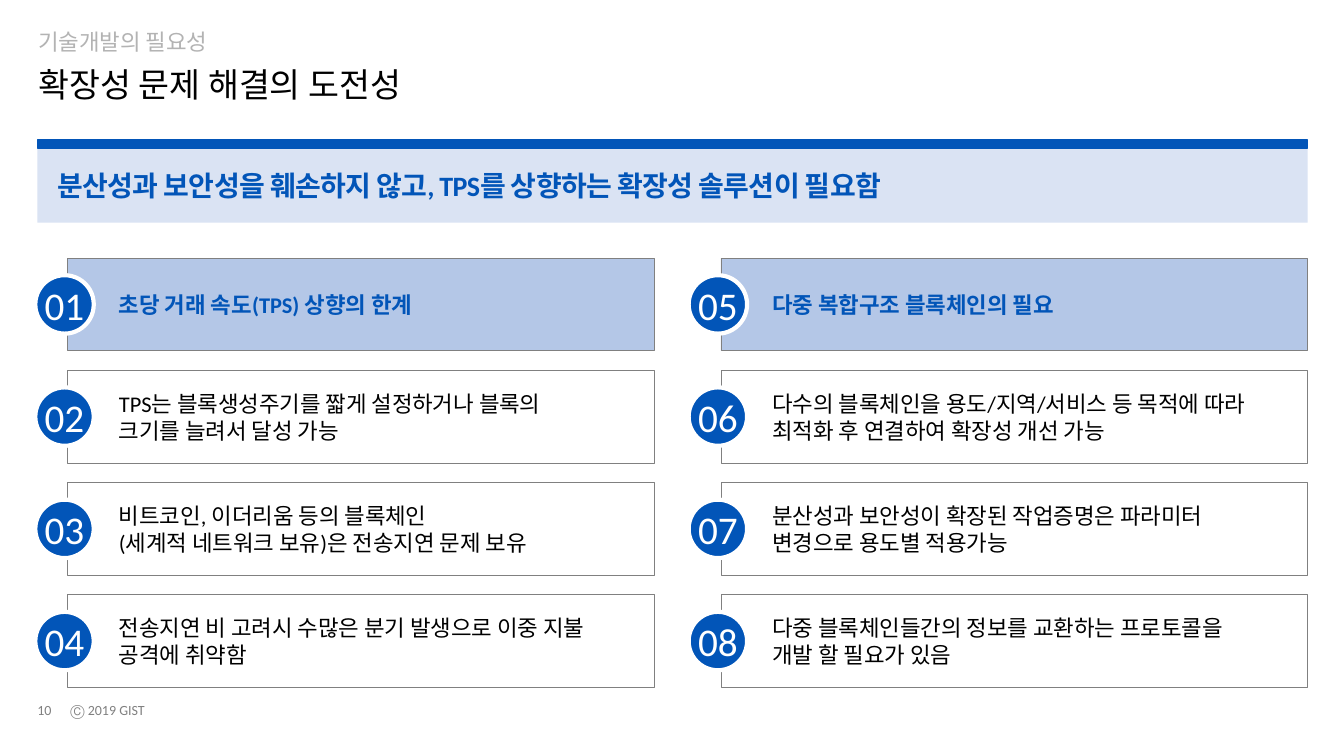
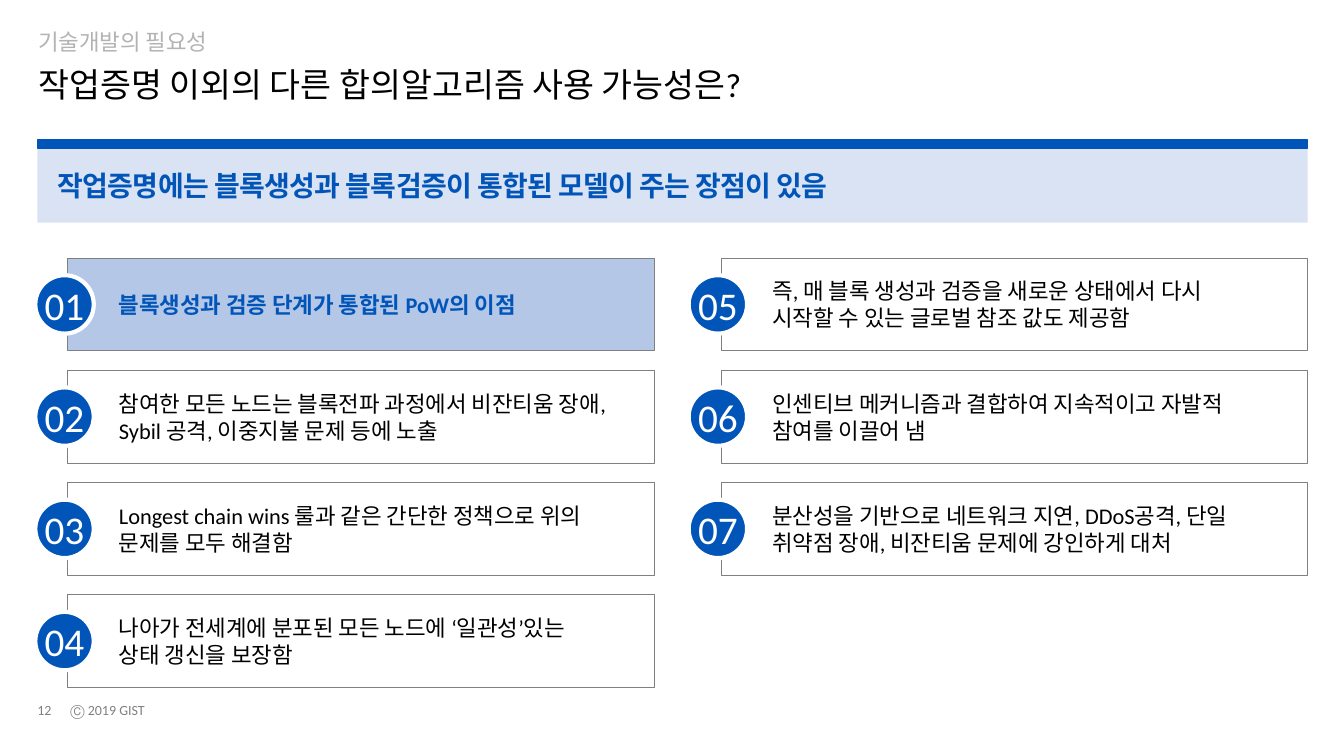
from lxml import etree
from pptx import Presentation
from pptx import util as u
from pptx.dml import color
from pptx.enum import lang, shapes, text
from pptx.oxml import ns

COLORS = {
    "blue": "0255B8",
    "heading": "B4C7E7",
    "band": "DAE3F3",
    "grey": "808080",
    "section": "B3B3B3",
    "black": "000000",
    "white": "FFFFFF",
}
FONT = "Calibri"
LEFT, WIDTH = 0.37, 12.6
CARD_LEFT, CARD_TOP = 0.67, 2.56
CARD_WIDTH, CARD_HEIGHT = 5.82, 0.92
COLUMN_STEP = 6.48
ROWS = 4
ROW_STEP = (5.9 - CARD_TOP) / (ROWS - 1)
BADGE = 0.58
BADGE_SHIFT = -0.32


class SlideBuilder:
    def __init__(self, deck):
        self.deck = deck
        self.slide = None

    def new_slide(self):
        self.slide = self.deck.slides.add_slide(self.deck.slide_layouts[1])

    def color(self, name):
        return color.RGBColor.from_string(COLORS[name])

    def fill_text(self, box, words, size, tint, bold=False, align="LEFT", anchor="MIDDLE",
                  insets=(0, 0.05, 0.1, 0.05), wrap=True, line_spacing=None, tracking=None):
        """Fill a shape with text, one paragraph for each line of words."""
        frame = box.text_frame
        frame.word_wrap = wrap
        frame.auto_size = text.MSO_AUTO_SIZE.NONE
        frame.vertical_anchor = text.MSO_ANCHOR[anchor]
        (frame.margin_left, frame.margin_top,
         frame.margin_right, frame.margin_bottom) = map(u.Inches, insets)
        for index, line in enumerate(words.split("\n")):
            para = frame.add_paragraph() if index else frame.paragraphs[0]
            para.alignment = text.PP_ALIGN[align]
            para.space_before = u.Pt(0)
            if line_spacing:
                para.line_spacing = line_spacing
            span = para.add_run()
            span.text = line
            font = span.font
            font.name, font.size, font.bold = FONT, u.Pt(size), bold
            font.color.rgb = self.color(tint)
            font.language_id = lang.MSO_LANGUAGE_ID.KOREAN
            properties = span._r.get_or_add_rPr()
            east_asian = etree.Element(ns.qn("a:ea"), typeface=FONT)
            properties.find(ns.qn("a:latin")).addnext(east_asian)
            if tracking:
                properties.set("spc", str(int(tracking * 100)))

    def shape(self, kind, left, top, width, height, fill=None, line=None, line_width=1):
        shape = self.slide.shapes.add_shape(
            shapes.MSO_SHAPE[kind], *map(u.Inches, (left, top, width, height)))
        shape.shadow.inherit = False
        if fill:
            shape.fill.solid()
            shape.fill.fore_color.rgb = self.color(fill)
        else:
            shape.fill.background()
        if line:
            shape.line.color.rgb = self.color(line)
            shape.line.width = u.Pt(line_width)
        else:
            shape.line.fill.background()
        return shape

    def place(self, box, left, top, width, height):
        box.left, box.top, box.width, box.height = map(u.Inches, (left, top, width, height))

    def titles(self, section, title):
        heading, label = self.slide.shapes.title, self.slide.placeholders[1]
        self.place(heading, 0.38, 0.63, WIDTH, 0.46)
        self.fill_text(heading, title, 24, "black", anchor="TOP", line_spacing=0.9)
        self.place(label, 0.38, 0.26, WIDTH, 0.34)
        properties = label.text_frame.paragraphs[0]._p.get_or_add_pPr()
        properties.set("marL", "0")
        properties.set("indent", "0")
        etree.SubElement(properties, ns.qn("a:buNone"))
        self.fill_text(label, section, 16, "section", anchor="BOTTOM", line_spacing=0.9)

    def message_band(self, message):
        band = self.shape("RECTANGLE", LEFT, 1.47, WIDTH, 0.74, "band")
        self.fill_text(band, message, 20, "blue", bold=True,
                       insets=(0.2, 0.05, 0.39, 0.05), tracking=-0.5)
        self.shape("RECTANGLE", LEFT, 1.39, WIDTH, 0.08, "blue", "blue")

    def card(self, number, words, is_heading):
        """Draw a numbered card; numbers run down the columns."""
        column, row = divmod(number - 1, ROWS)
        left = CARD_LEFT + column * COLUMN_STEP
        top = CARD_TOP + row * ROW_STEP
        box = self.shape("RECTANGLE", left, top, CARD_WIDTH, CARD_HEIGHT,
                         "heading" if is_heading else None, "grey", 0.5)
        self.fill_text(box, words, 16, "blue" if is_heading else "black", bold=is_heading,
                       insets=(0.51, 0.05, 0.1, 0.05))
        badge = self.shape("OVAL", left + BADGE_SHIFT, top + (CARD_HEIGHT - BADGE) / 2,
                           BADGE, BADGE, "blue", "white", 3)
        self.fill_text(badge, f"{number:02}", 28, "white", align="CENTER", insets=(0, 0, 0, 0))

    def footer(self, page_number):
        notice = self.slide.shapes.add_textbox(*map(u.Inches, (0.6, 6.91, 0.95, 0.27)))
        self.fill_text(notice, "Ⓒ 2019 GIST", 10, "grey", wrap=False,
                       insets=(0.1, 0.05, 0.1, 0.05))
        page = self.slide.shapes.add_textbox(*map(u.Inches, (LEFT, 6.92, 0.39, 0.24)))
        self.fill_text(page, str(page_number), 10, "grey", wrap=False, insets=(0, 0, 0, 0))


SECTION = "기술개발의 필요성"
PAGES = [
    {
        "number": 10,
        "title": "확장성 문제 해결의 도전성",
        "message": "분산성과 보안성을 훼손하지 않고, TPS를 상향하는 확장성 솔루션이 필요함",
        "headings": (1, 5),
        "cards": [
            "초당 거래 속도(TPS) 상향의 한계",
            "TPS는 블록생성주기를 짧게 설정하거나 블록의\n크기를 늘려서 달성 가능",
            "비트코인, 이더리움 등의 블록체인\n(세계적 네트워크 보유)은 전송지연 문제 보유",
            "전송지연 비 고려시 수많은 분기 발생으로 이중 지불 공격에 취약함",
            "다중 복합구조 블록체인의 필요",
            "다수의 블록체인을 용도/지역/서비스 등 목적에 따라 최적화 후 연결하여 확장성 개선 가능",
            "분산성과 보안성이 확장된 작업증명은 파라미터\n변경으로 용도별 적용가능",
            "다중 블록체인들간의 정보를 교환하는 프로토콜을\n개발 할 필요가 있음",
        ],
    },
    {
        "number": 12,
        "title": "작업증명 이외의 다른 합의알고리즘 사용 가능성은?",
        "message": "작업증명에는 블록생성과 블록검증이 통합된 모델이 주는 장점이 있음",
        "headings": (1,),
        "cards": [
            "블록생성과 검증 단계가 통합된 PoW의 이점",
            "참여한 모든 노드는 블록전파 과정에서 비잔티움 장애, Sybil 공격, 이중지불 문제 등에 노출",
            "Longest chain wins 룰과 같은 간단한 정책으로 위의\n문제를 모두 해결함",
            "나아가 전세계에 분포된 모든 노드에 ‘일관성’있는\n상태 갱신을 보장함",
            "즉, 매 블록 생성과 검증을 새로운 상태에서 다시\n시작할 수 있는 글로벌 참조 값도 제공함",
            "인센티브 메커니즘과 결합하여 지속적이고 자발적\n참여를 이끌어 냄",
            "분산성을 기반으로 네트워크 지연, DDoS공격, 단일\n취약점 장애, 비잔티움 문제에 강인하게 대처",
        ],
    },
]


def main():
    deck = Presentation()
    deck.slide_width, deck.slide_height = u.Inches(13.33), u.Inches(7.5)
    builder = SlideBuilder(deck)
    for page in PAGES:
        builder.new_slide()
        builder.titles(SECTION, page["title"])
        builder.message_band(page["message"])
        for number, words in enumerate(page["cards"], start=1):
            builder.card(number, words, number in page["headings"])
        builder.footer(page["number"])
    deck.save("out.pptx")


if __name__ == "__main__":
    main()
